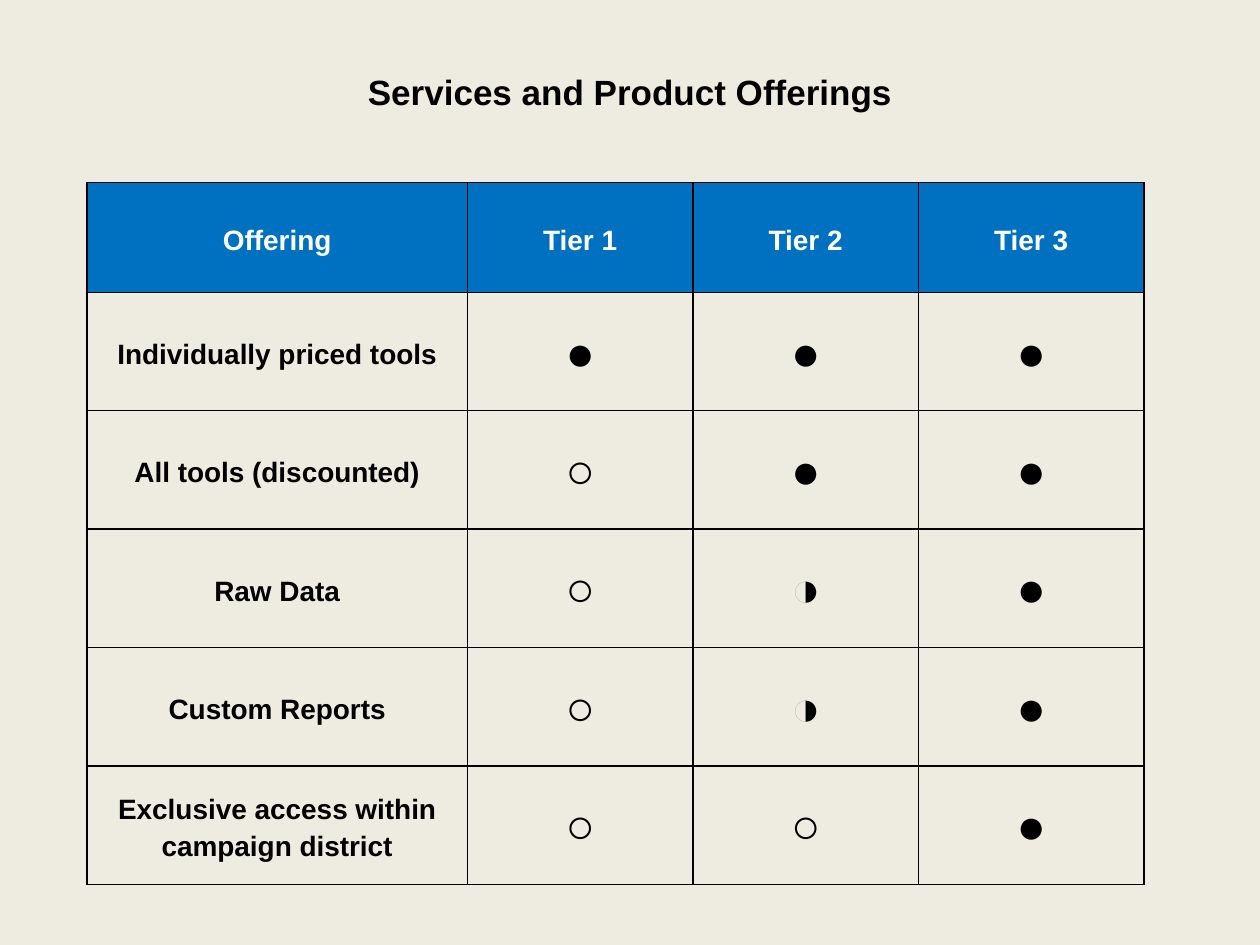
from lxml.etree import SubElement
from pptx import Presentation
from pptx.dml.color import RGBColor
from pptx.enum.text import MSO_ANCHOR as Anchor, PP_ALIGN as Align
from pptx.oxml.ns import qn
from pptx.util import Inches, Pt

TITLE = "Services and Product Offerings"
HEADER = ("Offering", "Tier 1", "Tier 2", "Tier 3")
OFFERINGS = [
    ("Individually priced tools", "●●●"),
    ("All tools (discounted)", "○●●"),
    ("Raw Data", "○◑●"),
    ("Custom Reports", "○◑●"),
    ("Exclusive access within campaign district", "○○●"),
]
BLACK, WHITE, BLUE, CREAM = "000000", "FFFFFF", "0070C0", "EEECE1"
LEFT, TOP, TITLE_WIDTH = 0.69, 1.45, 8.62
NAME_WIDTH, TIER_WIDTH = 3.02, 1.79
HEADER_HEIGHT, ROW_HEIGHT = 0.87, 0.94


def color(value):
    """Turn a hex string into a colour."""
    return RGBColor.from_string(value)


def style(para, size, shade, face="Arial"):
    """Centre a paragraph and set its bold font."""
    para.alignment = Align.CENTER
    font = para.font
    font.name, font.size, font.bold = face, Pt(size), True
    font.color.rgb = color(shade)


def add_borders(cell):
    """Draw a thin black line on each side of a cell."""
    properties = cell._tc.get_or_add_tcPr()
    for position, side in enumerate(("lnL", "lnR", "lnT", "lnB")):
        line = SubElement(properties, qn(f"a:{side}"), w=str(Pt(1)))
        fill = SubElement(line, qn("a:solidFill"))
        SubElement(fill, qn("a:srgbClr"), val=BLACK)
        properties.insert(position, line)


def fill_cell(cell, text, is_header, is_symbol):
    """Write and format one cell of the table."""
    cell.text = text
    cell.vertical_anchor = Anchor.MIDDLE
    para = cell.text_frame.paragraphs[0]
    para.line_spacing = 1.2
    if is_symbol:
        style(para, 28, BLACK, "Courier New")
    else:
        style(para, 16, WHITE if is_header else BLACK)
    if is_header:
        cell.fill.solid()
        cell.fill.fore_color.rgb = color(BLUE)
    else:
        cell.fill.background()
    add_borders(cell)


def add_title(page):
    """Place the slide title."""
    title = page.shapes.title
    title.left, title.top = Inches(LEFT), 0
    title.width, title.height = Inches(TITLE_WIDTH), Inches(TOP)
    title.text_frame.text = TITLE
    title.text_frame.vertical_anchor = Anchor.MIDDLE
    style(title.text_frame.paragraphs[0], 20, BLACK)


def add_offerings(page):
    """Build the table of offerings by tier."""
    rows = [HEADER] + [(name, *marks) for name, marks in OFFERINGS]
    widths = [NAME_WIDTH] + [TIER_WIDTH] * (len(HEADER) - 1)
    heights = [HEADER_HEIGHT] + [ROW_HEIGHT] * len(OFFERINGS)
    table = page.shapes.add_table(
        len(rows), len(widths), Inches(LEFT), Inches(TOP),
        Inches(sum(widths)), Inches(sum(heights))).table
    for column, width in zip(table.columns, widths):
        column.width = Inches(width)
    for r, (row, height) in enumerate(zip(rows, heights)):
        table.rows[r].height = Inches(height)
        for c, text in enumerate(row):
            fill_cell(table.cell(r, c), text, r == 0, r > 0 and c > 0)


def main():
    """Build and save the slide."""
    deck = Presentation()
    deck.slide_width, deck.slide_height = Inches(10), Inches(7.5)
    page = deck.slides.add_slide(deck.slide_layouts[5])
    page.background.fill.solid()
    page.background.fill.fore_color.rgb = color(CREAM)
    add_title(page)
    add_offerings(page)
    deck.save("out.pptx")


if __name__ == "__main__":
    main()
